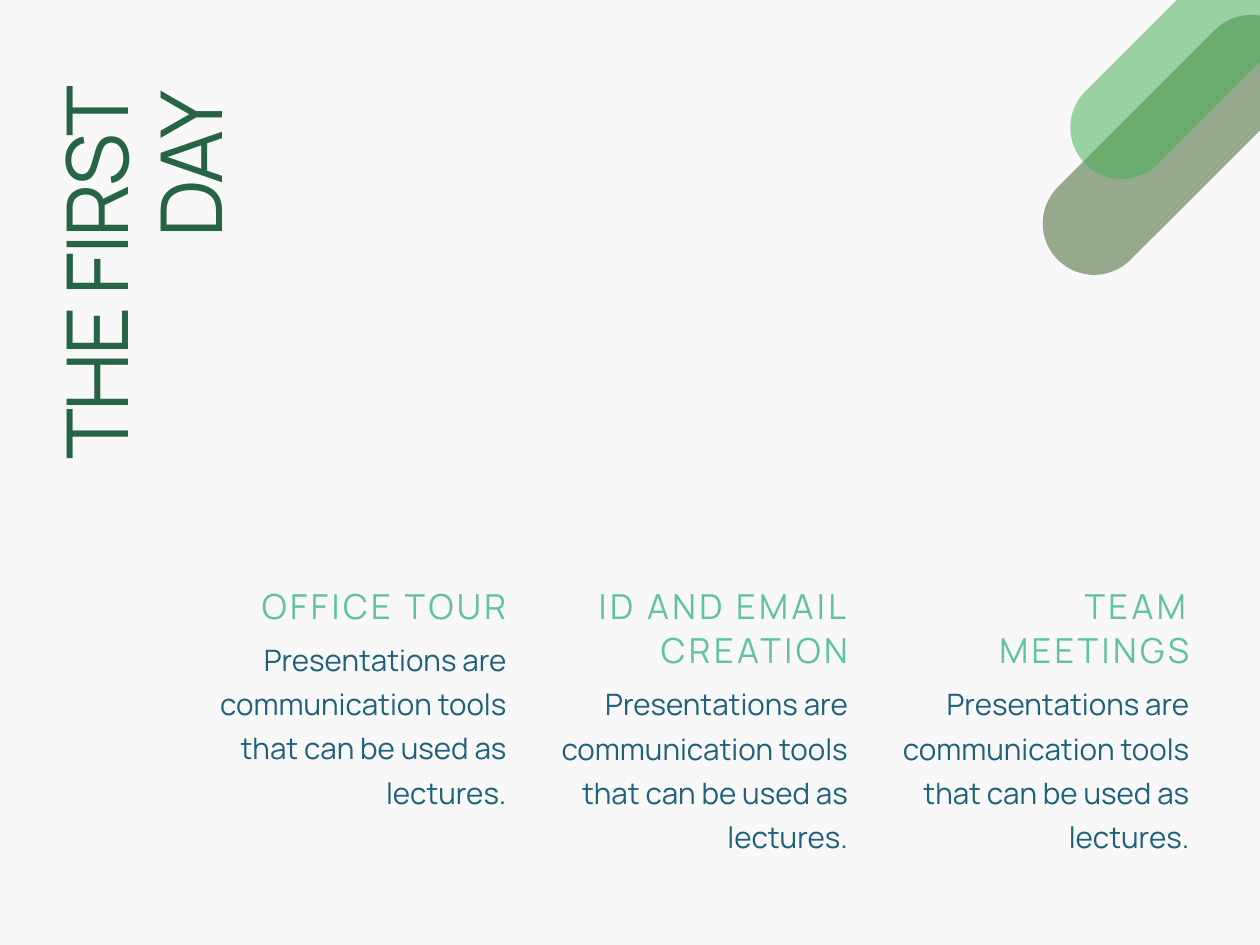
from pptx import Presentation
from pptx.dml.color import RGBColor
from pptx.enum.shapes import MSO_SHAPE
from pptx.enum.text import MSO_AUTO_SIZE, PP_ALIGN
from pptx.oxml.ns import qn
from pptx.util import Cm, Pt
from lxml import etree

PILL = MSO_SHAPE.ROUNDED_RECTANGLE
RIGHT = PP_ALIGN.RIGHT
GROW = MSO_AUTO_SIZE.SHAPE_TO_FIT_TEXT

BACKGROUND = RGBColor(0xF8, 0xF8, 0xF8)
DARK_GREEN = RGBColor(0x27, 0x64, 0x45)
MINT = RGBColor(0x61, 0xC2, 0xA2)
BLUE = RGBColor(0x1D, 0x61, 0x7A)
OLIVE = RGBColor(0x3E, 0x66, 0x2C)
LEAF = RGBColor(0x45, 0xAF, 0x53)

FONT = "Manrope"
TITLE_STYLE = {"size": 52, "line": 57.2, "color": DARK_GREEN, "spacing": -160}
HEADING_STYLE = {"size": 21, "line": 27.3, "color": MINT, "spacing": 210}
BODY_STYLE = {"size": 18, "line": 27, "color": BLUE, "spacing": 0}

TITLE = "THE FIRST DAY"
BODY = "Presentations are communication tools that can be used as lectures."
COLUMNS = [("OFFICE TOUR", 1), ("ID AND EMAIL CREATION", 2), ("TEAM MEETINGS", 2)]
PILLS = [(21.72, 2.01, 6.99, OLIVE), (22.28, -0.13, 7.21, LEAF)]

PILL_HEIGHT = 2.21
PILL_OPACITY = 53
COLUMN_LEFT = 4.39
COLUMN_STEP = 7.34
COLUMN_WIDTH = 6.5
HEADING_TOP = 12.5
HEADING_LINE = 0.96
HEADING_GAP = 0.15
BODY_HEIGHT = 3.71


def add_text(shapes, text, left, top, width, height, style):
    box = shapes.add_textbox(Cm(left), Cm(top), Cm(width), Cm(height))
    frame = box.text_frame
    frame.word_wrap = True
    frame.auto_size = GROW
    frame.margin_left = frame.margin_right = 0
    frame.margin_top = frame.margin_bottom = 0
    paragraph = frame.paragraphs[0]
    paragraph.alignment = RIGHT
    paragraph.line_spacing = Pt(style["line"])
    run = paragraph.add_run()
    run.text = text
    run.font.name = FONT
    run.font.size = Pt(style["size"])
    run.font.color.rgb = style["color"]
    if style["spacing"]:
        run.font._element.set("spc", str(style["spacing"]))
    return box


def add_pill(shapes, left, top, width, color):
    pill = shapes.add_shape(PILL, Cm(left), Cm(top), Cm(width), Cm(PILL_HEIGHT))
    pill.adjustments[0] = 0.5
    pill.rotation = 315
    pill.shadow.inherit = False
    pill.line.fill.background()
    pill.fill.solid()
    pill.fill.fore_color.rgb = color
    color_element = pill._element.spPr.find(qn("a:solidFill"))[0]
    alpha = etree.SubElement(color_element, qn("a:alpha"))
    alpha.set("val", str(PILL_OPACITY * 1000))


def add_column(shapes, index, heading, line_count):
    left = COLUMN_LEFT + index * COLUMN_STEP
    heading_height = line_count * HEADING_LINE
    body_top = HEADING_TOP + heading_height + HEADING_GAP
    add_text(shapes, heading, left, HEADING_TOP, COLUMN_WIDTH, heading_height, HEADING_STYLE)
    add_text(shapes, BODY, left, body_top, COLUMN_WIDTH, BODY_HEIGHT, BODY_STYLE)


def main():
    presentation = Presentation()
    presentation.slide_width = Cm(27.09)
    presentation.slide_height = Cm(20.32)
    slide = presentation.slides.add_slide(presentation.slide_layouts[6])
    slide.background.fill.solid()
    slide.background.fill.fore_color.rgb = BACKGROUND

    title = add_text(slide.shapes, TITLE, -1.32, 4.39, 8.94, 4.06, TITLE_STYLE)
    title.rotation = 270

    pill_group = slide.shapes.add_group_shape()
    for left, top, width, color in PILLS:
        add_pill(pill_group.shapes, left, top, width, color)

    for index, (heading, line_count) in enumerate(COLUMNS):
        column_group = slide.shapes.add_group_shape()
        add_column(column_group.shapes, index, heading, line_count)

    presentation.save("out.pptx")


if __name__ == "__main__":
    main()
